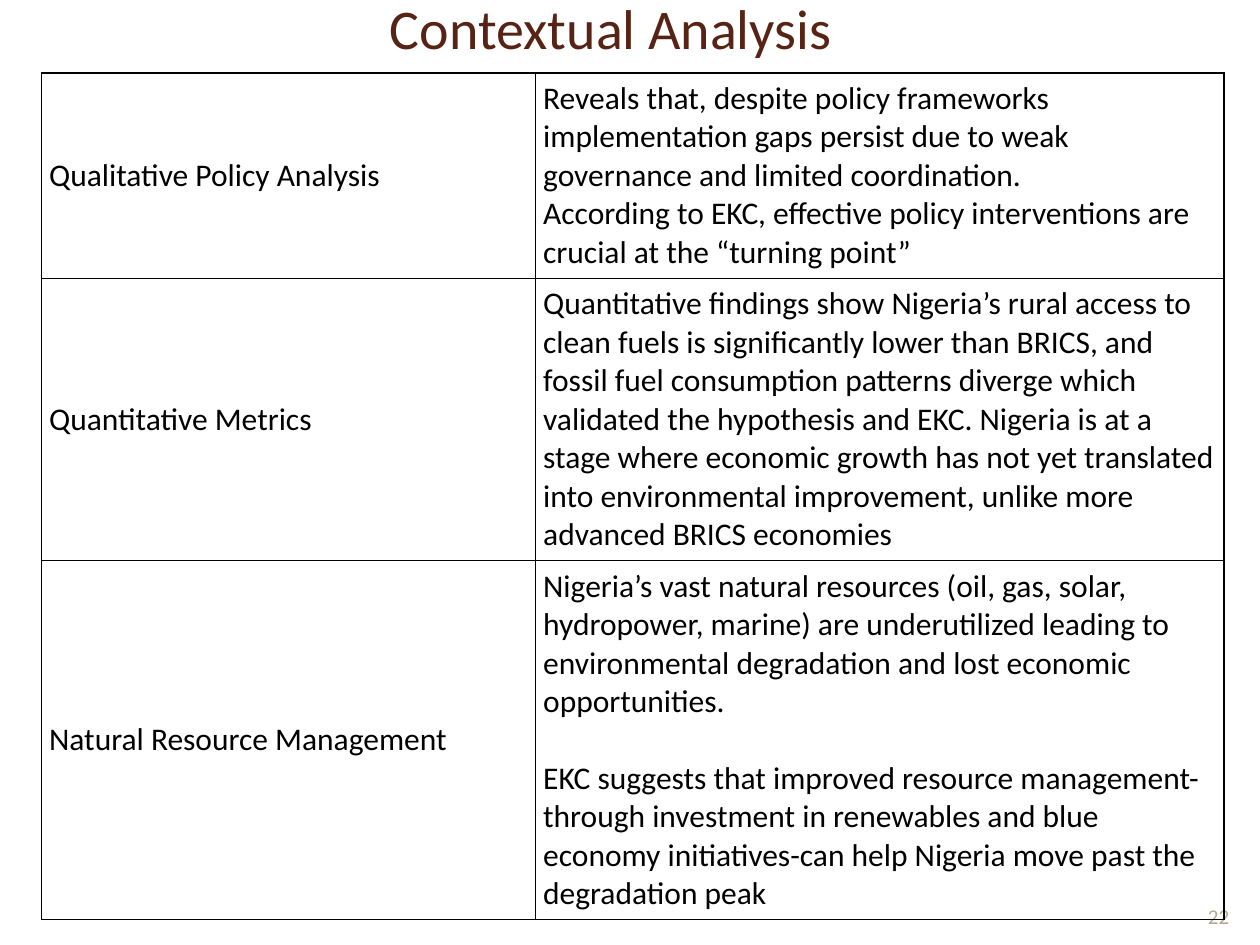
"""Build the contextual analysis slide: a title, a page number and a bordered two-column table."""
from dataclasses import dataclass

from lxml.etree import SubElement
from pptx import Presentation
from pptx.dml.color import RGBColor
from pptx.enum.text import MSO_ANCHOR, MSO_AUTO_SIZE, PP_ALIGN
from pptx.oxml.ns import qn
from pptx.util import Cm, Pt

COLORS = {"title": "572314", "number": "B6A98A", "text": "000000", "border": "000000"}
FONT_NAME = "Calibri"
COLUMN_WIDTHS = (9.96, 13.87)
CELL_FORMAT = {
    "vertical_anchor": MSO_ANCHOR.MIDDLE,
    "margin_left": Cm(0.15),
    "margin_right": Cm(0.15),
    "margin_top": Cm(0.13),
    "margin_bottom": Cm(0.13),
}


@dataclass
class Topic:
    name: str
    findings: tuple[str, ...]
    height: float
    gap: float = 0


TOPICS = (
    Topic(
        "Qualitative Policy Analysis",
        (
            "Reveals that, despite policy frameworks implementation gaps persist due to "
            "weak governance and limited coordination.",
            "According to EKC, effective policy interventions are crucial at the “turning point”",
        ),
        4.14,
    ),
    Topic(
        "Quantitative Metrics",
        (
            "Quantitative findings show Nigeria’s rural access to clean fuels is significantly "
            "lower than BRICS, and fossil fuel consumption patterns diverge which validated the "
            "hypothesis and EKC. Nigeria is at a stage where economic growth has not yet "
            "translated into environmental improvement, unlike more advanced BRICS economies",
        ),
        5.69,
    ),
    Topic(
        "Natural Resource Management",
        (
            "Nigeria’s vast natural resources (oil, gas, solar, hydropower, marine) are "
            "underutilized leading to environmental degradation and lost economic opportunities.",
            "EKC suggests that improved resource management-through investment in renewables and "
            "blue economy initiatives-can help Nigeria move past the degradation peak",
        ),
        7.24,
        22,
    ),
)


def apply_format(target, values: dict) -> None:
    for name, value in values.items():
        setattr(target, name, value)


def write_text(text_frame, texts: tuple[str, ...], size: float, color: str,
               alignment=PP_ALIGN.LEFT, gap: float = 0) -> None:
    text_frame.word_wrap = True
    for index, text in enumerate(texts):
        paragraph = text_frame.add_paragraph() if index else text_frame.paragraphs[0]
        paragraph.alignment = alignment
        if index and gap:
            paragraph.space_before = Pt(gap)
        run = paragraph.add_run()
        run.text = text
        apply_format(run.font, {"name": FONT_NAME, "size": Pt(size)})
        run.font.color.rgb = RGBColor.from_string(COLORS[color])


def place(shape, left: float, top: float, width: float, height: float) -> None:
    apply_format(shape, {"left": Cm(left), "top": Cm(top),
                         "width": Cm(width), "height": Cm(height)})


def add_borders(cell) -> None:
    properties = cell._tc.get_or_add_tcPr()
    for side in ("L", "R", "T", "B"):
        line = SubElement(properties, qn(f"a:ln{side}"), w=str(Pt(1)))
        fill = SubElement(line, qn("a:solidFill"))
        SubElement(fill, qn("a:srgbClr"), val=COLORS["border"])


def fill_cell(cell, texts: tuple[str, ...], gap: float = 0) -> None:
    apply_format(cell, CELL_FORMAT)
    add_borders(cell)
    cell.fill.background()
    write_text(cell.text_frame, texts, 18, "text", gap=gap)


def add_topic_table(slide, topics: tuple[Topic, ...]) -> None:
    total_height = sum(topic.height for topic in topics)
    table = slide.shapes.add_table(
        len(topics), len(COLUMN_WIDTHS), Cm(0.84), Cm(1.47),
        Cm(sum(COLUMN_WIDTHS)), Cm(total_height)).table
    apply_format(table, {"first_row": False, "horz_banding": False})
    for column, width in zip(table.columns, COLUMN_WIDTHS):
        column.width = Cm(width)
    for row, topic in zip(table.rows, topics):
        row.height = Cm(topic.height)
        fill_cell(row.cells[0], (topic.name,))
        fill_cell(row.cells[1], topic.findings, topic.gap)


def main() -> None:
    presentation = Presentation()
    apply_format(presentation, {"slide_width": Cm(25.4), "slide_height": Cm(19.05)})
    slide = presentation.slides.add_slide(presentation.slide_layouts[5])

    title = slide.shapes.title
    place(title, 1.9, -0.63, 20.83, 2.34)
    apply_format(title.text_frame, {"auto_size": MSO_AUTO_SIZE.NONE,
                                    "vertical_anchor": MSO_ANCHOR.MIDDLE})
    write_text(title.text_frame, ("Contextual Analysis",), 32, "title", PP_ALIGN.CENTER)

    number = slide.shapes.add_textbox(Cm(23.93), Cm(17.53), Cm(1.27), Cm(1.32))
    number.text_frame.vertical_anchor = MSO_ANCHOR.BOTTOM
    write_text(number.text_frame, ("22",), 12, "number", PP_ALIGN.CENTER)

    add_topic_table(slide, TOPICS)
    presentation.save("out.pptx")


if __name__ == "__main__":
    main()
